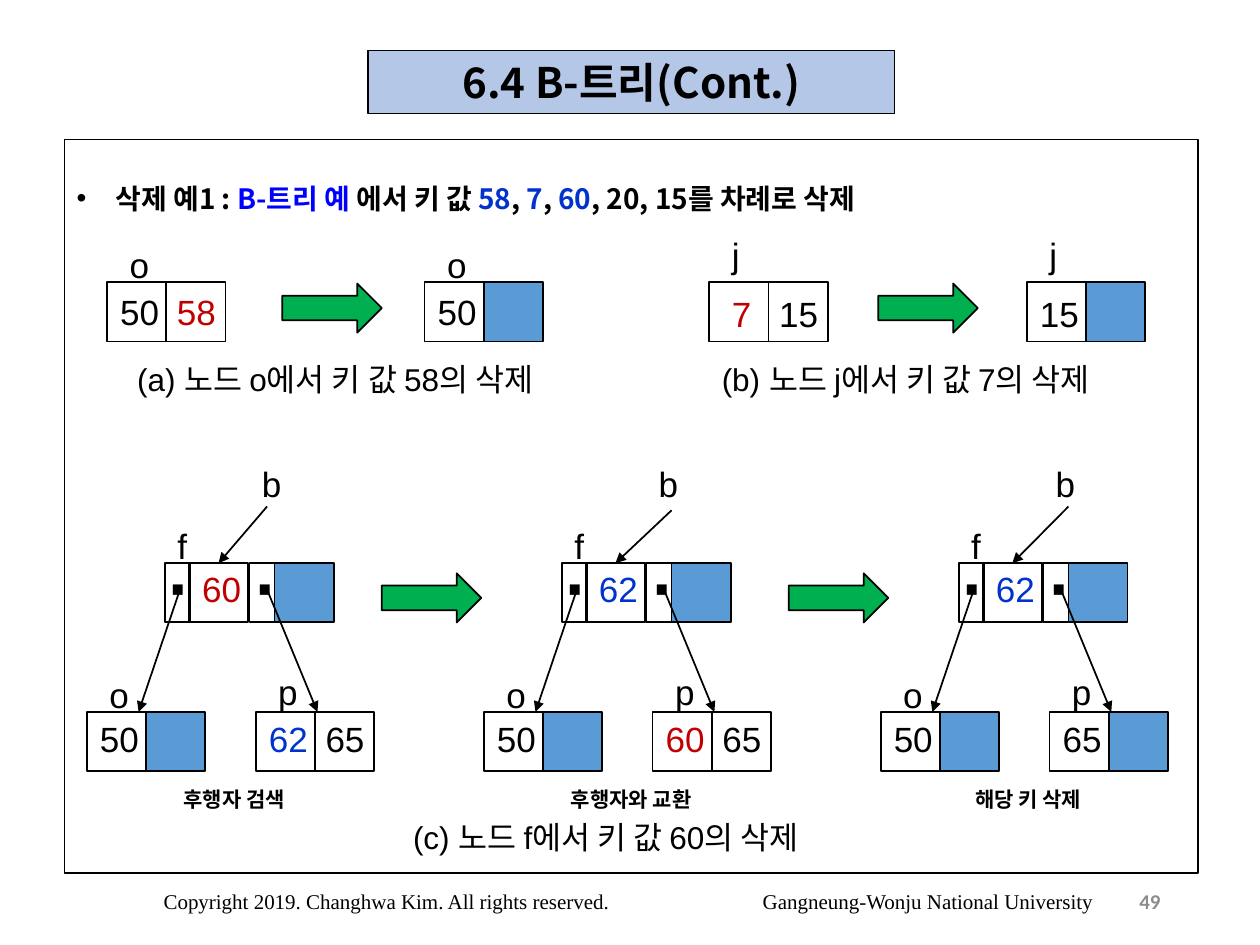
from lxml.etree import SubElement
from pptx import Presentation
from pptx.dml.color import RGBColor
from pptx.enum.shapes import MSO_CONNECTOR as Link, MSO_SHAPE as Shape
from pptx.enum.text import MSO_ANCHOR as Anchor, MSO_AUTO_SIZE as Fit, PP_ALIGN as Align
from pptx.oxml.ns import qn
from pptx.util import Inches, Pt

BLACK, RED, BLUE, LINK = "000000", "C00000", "0033CC", "0000FF"
FULL, GREEN, PALE, GREY = "5B9BD5", "00B050", "B4C7E7", "8C8C8C"
SANS, KOREAN = "Arial", "Noto Sans CJK KR"
SIDE = 0.47  # side of a key cell
SLIM = 0.2   # width of a pointer cell


def paint(code):
    return RGBColor.from_string(code)


def write(frame, text, size=20, font=SANS, color=BLACK, bold=False,
          align=Align.LEFT, anchor=Anchor.TOP, wrap=False, grow=True,
          lead=None, bullet=None, tab=None):
    """Fill a frame with a string or a list of (text, colour) runs."""
    frame.word_wrap = wrap
    frame.auto_size = Fit.SHAPE_TO_FIT_TEXT if grow else Fit.NONE
    frame.vertical_anchor = anchor
    para = frame.paragraphs[0]
    para.alignment = align
    if lead:
        para.line_spacing = lead
    props = para._p.get_or_add_pPr()
    if bullet:
        props.set("marL", str(Inches(0.31)))
        props.set("indent", str(-Inches(0.31)))
        SubElement(props, qn("a:buFont"), typeface=SANS)
        SubElement(props, qn("a:buChar"), char=bullet)
    if tab:
        stops = SubElement(props, qn("a:tabLst"))
        SubElement(stops, qn("a:tab"), pos=str(Inches(tab)), algn="r")
    for part, tone in [(text, color)] if isinstance(text, str) else text:
        run = para.add_run()
        run.text = part
        run.font.size = Pt(size)
        run.font.name = font
        run.font.bold = bold
        run.font.color.rgb = paint(tone)
        SubElement(run._r.get_or_add_rPr(), qn("a:ea"), typeface=KOREAN)


class Board:
    def __init__(self, slide):
        self.shapes = slide.shapes

    def box(self, x, y, w, h, fill=None, line=1, kind=Shape.RECTANGLE):
        shape = self.shapes.add_shape(kind, Inches(x), Inches(y), Inches(w), Inches(h))
        shape.shadow.inherit = False
        if fill:
            shape.fill.solid()
            shape.fill.fore_color.rgb = paint(fill)
        else:
            shape.fill.background()
        shape.line.color.rgb = paint(BLACK)
        shape.line.width = Pt(line)
        return shape

    def text(self, x, y, w, h, words, **style):
        area = self.shapes.add_textbox(Inches(x), Inches(y), Inches(w), Inches(h))
        write(area.text_frame, words, **style)

    def label(self, mid, y, words, color=BLACK):
        """Put a key or node name around the centre line mid."""
        w = 0.21 + 0.15 * len(words)
        self.text(mid - w / 2, y, w, 0.37, words, color=color, lead=0.8)

    def title(self, x, y, w, words):
        self.text(x, y, w, 0.34, words, size=18, lead=0.8)

    def arrow(self, x, y):
        self.box(x, y, 0.79, 0.39, GREEN, kind=Shape.RIGHT_ARROW)

    def line(self, x1, y1, x2, y2, goal=None):
        """Draw a line with an arrowhead, joined to the top of goal if given."""
        link = self.shapes.add_connector(
            Link.STRAIGHT, Inches(x1), Inches(y1), Inches(x2), Inches(y2))
        if goal:
            link.end_connect(goal, 0)
        link.line.color.rgb = paint(BLACK)
        link.line.width = Pt(1)
        SubElement(link.line._get_or_add_ln(), qn("a:tailEnd"), type="triangle")
        SubElement(link._element.spPr, qn("a:effectLst"))

    def leaf(self, x, y, name, rise, drop, *keys):
        """Draw a two-cell node; a missing second key gives a filled cell."""
        for i in range(2):
            left = x + i * SIDE
            self.box(left, y, SIDE, SIDE, None if i < len(keys) else FULL)
            if i < len(keys):
                self.label(left + 0.26 - 0.02 * i, y + drop, *keys[i])
        self.label(x + 0.26, y - rise, name)

    def tree(self, x, key, stem, *right):
        """Draw node f, its parent b at the point stem, and leaves o and p."""
        top, low = 4.47, 5.65
        cell = self.box(x + 0.19, top, SIDE, SIDE)
        self.box(x + 0.87, top, SIDE, SIDE, FULL)
        self.label(x + 0.45, top + 0.05, *key)
        self.label(x + 0.18, top - 0.29, "f")
        for left, dot in (0, -0.07), (0.67, 0.62):
            self.box(x + left, top, SLIM, SIDE)
            self.text(x + dot, top - 0.08, 0.35, 0.64, "·", size=40, bold=True, lead=0.8)
        self.leaf(x - 0.62, low, "o", 0.29, 0.06, ("50",))
        self.leaf(x + 0.72, low, "p", 0.31, 0.06, *right)
        mid = top + SIDE / 2
        self.line(x + 0.11, mid, x - 0.21, low)
        self.line(x + 0.82, mid, x + 1.21, low)
        self.line(x + stem[0], stem[1], x + 0.43, top, cell)
        self.label(x + 0.85, 3.69, "b")


def main():
    deck = Presentation()
    deck.slide_width, deck.slide_height = Inches(10), Inches(7.5)
    board = Board(deck.slides.add_slide(deck.slide_layouts[6]))

    head = board.box(2.92, 0.4, 4.18, 0.5, PALE, 0.75)
    write(head.text_frame, "6.4 B-트리(Cont.)", size=24, font=KOREAN, bold=True,
          align=Align.CENTER, anchor=Anchor.MIDDLE, grow=False)
    body = board.box(0.51, 1.11, 9, 5.82, line=0.75)
    body.text_frame.margin_top = Inches(0.33)
    write(body.text_frame, [
        ("삭제 예1 : ", BLACK), ("B-트리 예 ", LINK), ("에서 키 값 ", BLACK),
        ("58", BLUE), (", ", BLACK), ("7", BLUE), (", ", BLACK), ("60", BLUE),
        (", 20, 15를 차례로 삭제", BLACK),
    ], size=16, font=KOREAN, bold=True, wrap=True, grow=False, bullet="•")

    row = 2.24
    board.leaf(0.85, row, "o", 0.29, 0.08, ("50",), ("58", RED))
    board.leaf(3.37, row, "o", 0.29, 0.08, ("50",))
    board.leaf(5.63, row, "j", 0.37, 0.1, ("7", RED), ("15",))
    board.leaf(8.15, row, "j", 0.37, 0.1, ("15",))
    for x, y in (2.24, 2.25), (6.97, 2.25), (3.03, 4.55), (6.26, 4.55):
        board.arrow(x, y)
    board.title(0.99, 2.87, 3.72, "(a) 노드 o에서 키 값 58의 삭제")
    board.title(5.63, 2.87, 3.52, "(b) 노드 j에서 키 값 7의 삭제")
    board.title(3.18, 6.5, 3.64, "(c) 노드 f에서 키 값 60의 삭제")

    steps = [
        ("후행자 검색", ("60", RED), (0.81, 4.02), ("62", BLUE), ("65",)),
        ("후행자와 교환", ("62", BLUE), (0.87, 4.05), ("60", RED), ("65",)),
        ("해당 키 삭제", ("62", BLUE), (0.87, 4.02), ("65",)),
    ]
    for i, (note, key, stem, *right) in enumerate(steps):
        x = 1.31 + 3.15 * i
        board.tree(x, key, stem, *right)
        board.text(x - 0.05, 6.19, 1.2, 0.3, note, size=12, font=KOREAN,
                   bold=True, align=Align.CENTER)

    foot = dict(size=12, anchor=Anchor.MIDDLE, wrap=True, grow=False)
    board.text(1.2, 6.95, 7.63, 0.4,
               "Copyright 2019. Changhwa Kim. All rights reserved.\t"
               "Gangneung-Wonju National University",
               font="Times New Roman", tab=7.38, **foot)
    board.text(7.06, 6.95, 2.25, 0.4, "49", font="Calibri", color=GREY,
               bold=True, align=Align.RIGHT, **foot)
    deck.save("out.pptx")


if __name__ == "__main__":
    main()
